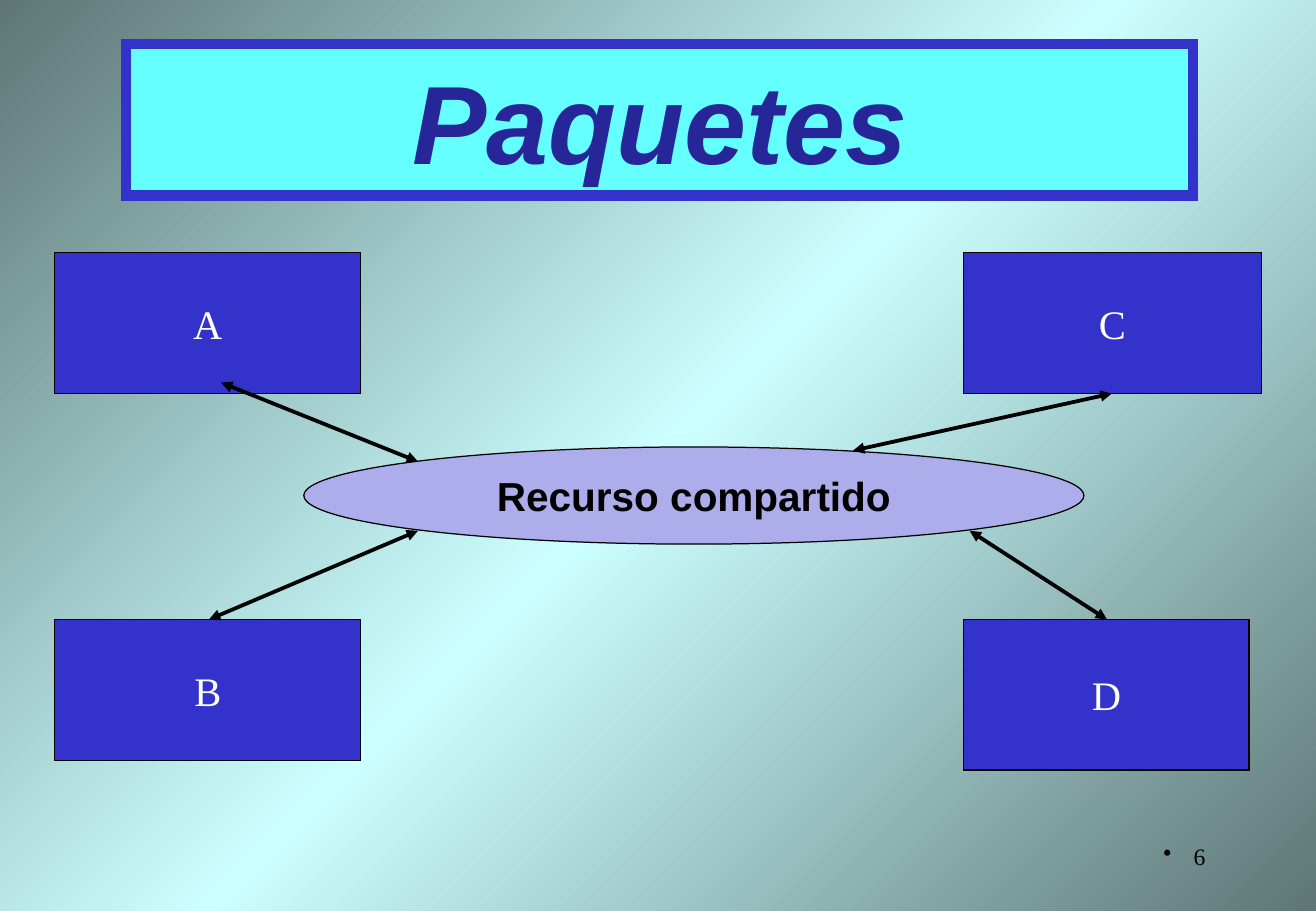
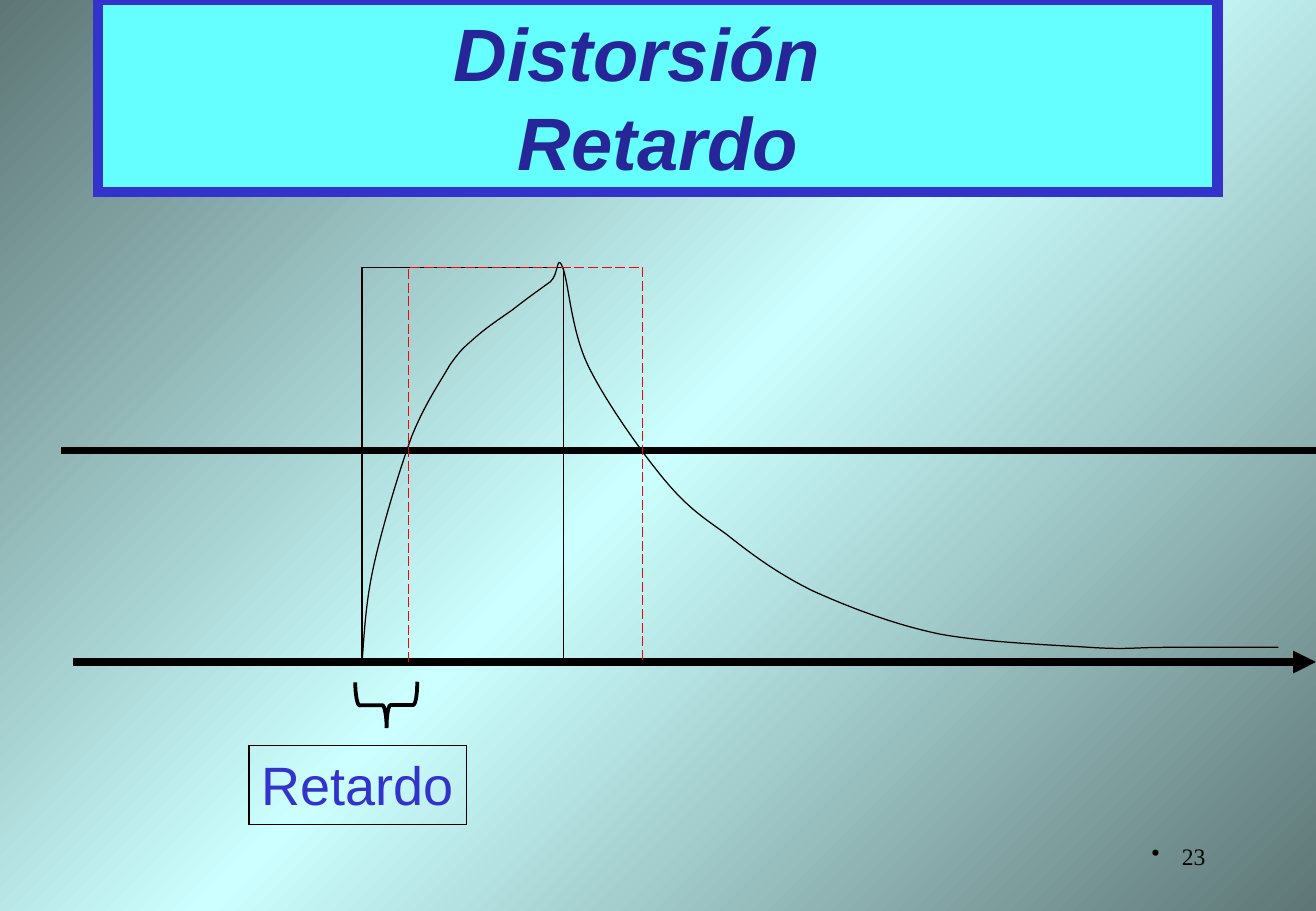
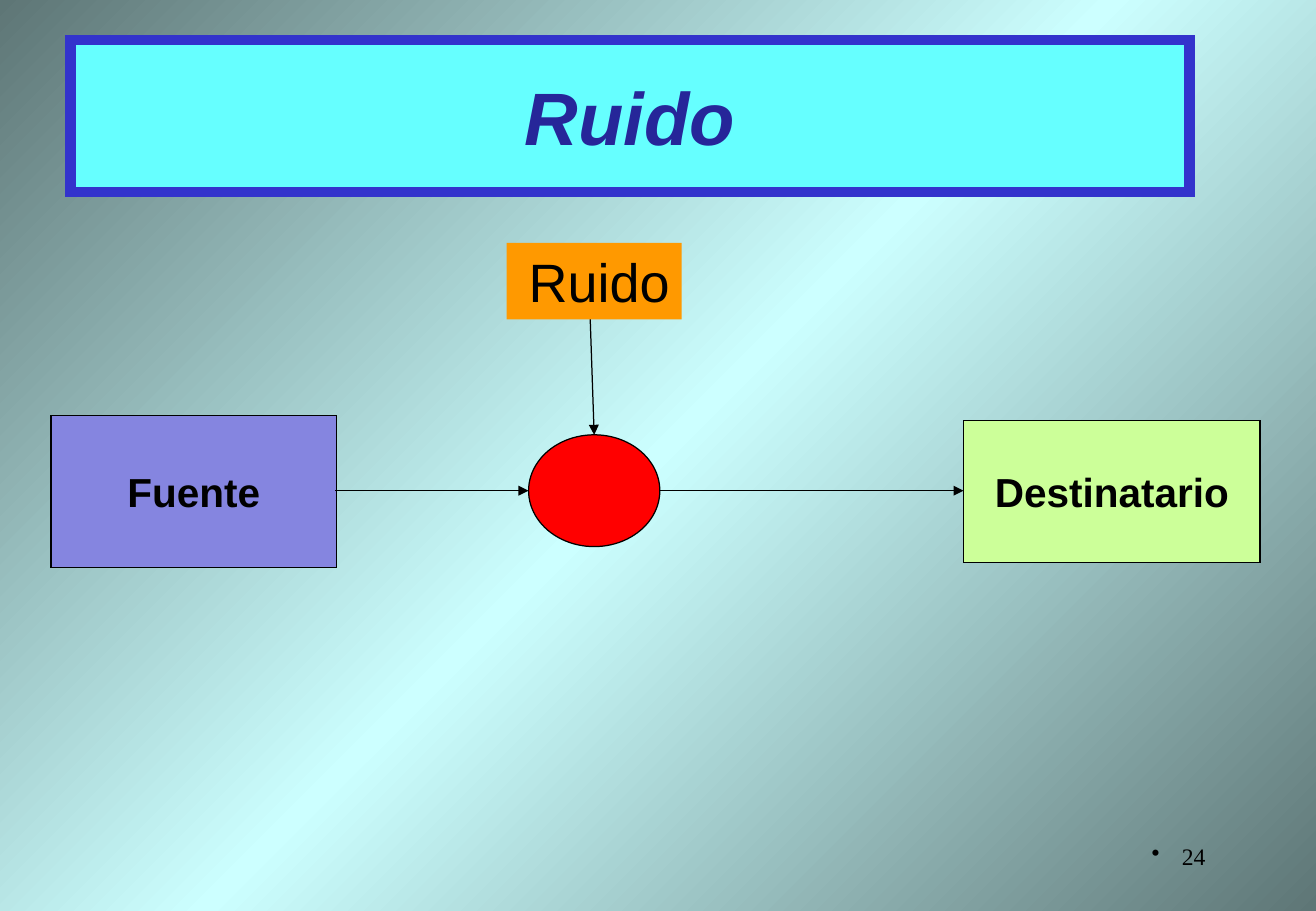
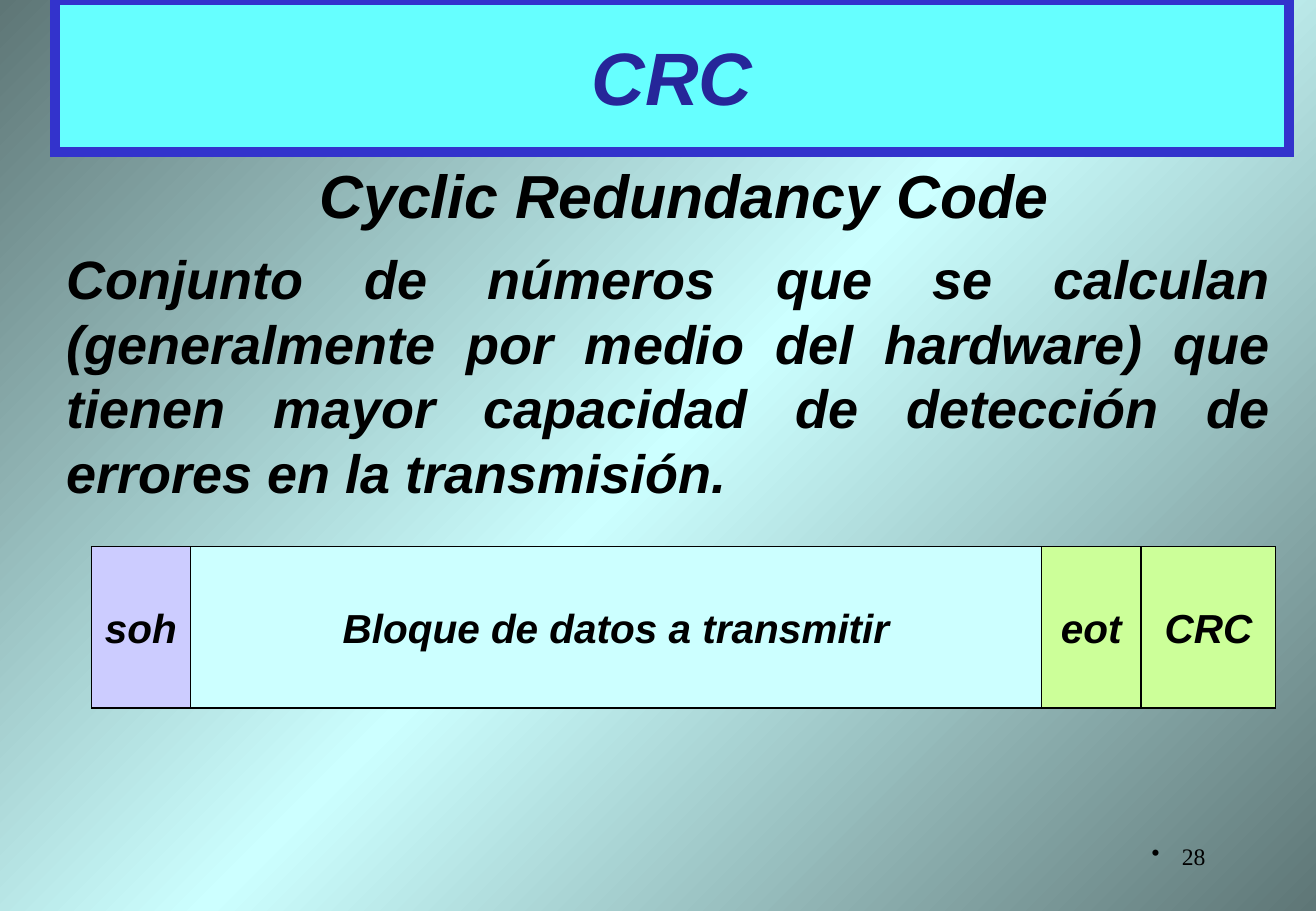
import copy

import pptx
import pptx.dml.color
import pptx.enum.dml
import pptx.enum.shapes
import pptx.enum.text
import pptx.oxml.ns
import pptx.util

Inches = pptx.util.Inches
Pt = pptx.util.Pt
RGB = pptx.dml.color.RGBColor.from_string
qn = pptx.oxml.ns.qn
SHAPE = pptx.enum.shapes.MSO_SHAPE
ALIGN = pptx.enum.text.PP_ALIGN
ANCHOR = pptx.enum.text.MSO_ANCHOR


class Theme:
    sans, serif = "Arial", "Times New Roman"
    black, white, red = RGB("000000"), RGB("FFFFFF"), RGB("FF0000")
    bg_edge, bg_middle = RGB("5E7676"), RGB("CCFFFF")
    title_fill, title_text, blue = RGB("66FFFF"), RGB("262699"), RGB("3333CC")
    lavender, violet, lilac = RGB("ADADEB"), RGB("8585E0"), RGB("CCCCFF")
    green, orange = RGB("CCFF99"), RGB("FF9900")
    number, label, text, subtitle, title, big_title = 14, 24, 32, 36, 44, 66
    thin, medium, thick, frame = 0.75, 2.25, 4.5, 6


def add_box(s, at, text="", kind=SHAPE.RECTANGLE, fill=None, line=Theme.black,
            weight=Theme.thin, size=Theme.label, font=Theme.sans, color=Theme.black,
            bold=False, italic=False, align=ALIGN.CENTER, anchor=ANCHOR.MIDDLE, wrap=False):
    """Add a shape with text; kind None gives a plain text box."""
    place = [Inches(v) for v in at]
    if kind is None:
        sp = s.shapes.add_textbox(*place)
    else:
        sp = s.shapes.add_shape(kind, *place)
        sp.shadow.inherit = False
        if fill is None:
            sp.fill.background()
        else:
            sp.fill.solid()
            sp.fill.fore_color.rgb = fill
        if line is None:
            sp.line.fill.background()
        else:
            sp.line.color.rgb = line
            sp.line.width = Pt(weight)
            ln = sp.element.spPr.find(qn("a:ln"))
            ln.append(ln.makeelement(qn("a:miter"), {"lim": "800000"}))
    tf = sp.text_frame
    tf.word_wrap = wrap
    tf.vertical_anchor = anchor
    tf.text = text
    for p in tf.paragraphs:
        p.alignment = align
        p.font.name, p.font.size = font, Pt(size)
        p.font.bold, p.font.italic = bold, italic
        p.font.color.rgb = color
    return sp


def add_line(s, start, end, weight=Theme.thin, arrows=("tailEnd",)):
    """Add a black line; arrows names its ends: headEnd (start), tailEnd (end)."""
    c = s.shapes.add_connector(pptx.enum.shapes.MSO_CONNECTOR.STRAIGHT,
                               *[Inches(v) for v in (*start, *end)])
    c.line.color.rgb = Theme.black
    c.line.width = Pt(weight)
    props = c.element.spPr
    ln = props.find(qn("a:ln"))
    for arrow in arrows:
        ln.append(ln.makeelement(qn(f"a:{arrow}"), {"type": "triangle"}))
    props.append(props.makeelement(qn("a:effectLst"), {}))


prs = pptx.Presentation()
prs.slide_width, prs.slide_height = Inches(10.83), Inches(7.5)

# Shared background: dark corners, light diagonal
bg = prs.slide_master.background.fill
bg.gradient()
bg.gradient_angle = 315
for stop in bg.gradient_stops:
    stop.color.rgb = Theme.bg_edge
stops = prs.slide_master.element.find(f".//{qn('p:bg')}//{qn('a:gsLst')}")
stops.insert(1, copy.deepcopy(stops[0]))
for stop, position, color in zip(bg.gradient_stops, (0, 0.5, 1),
                                 (Theme.bg_edge, Theme.bg_middle, Theme.bg_edge)):
    stop.position = position
    stop.color.rgb = color

# Shared title frame and slide number
slides, titles = [], []
for title, at, size, number in (
    ("Paquetes", (1.04, 0.36, 8.78, 1.25), Theme.big_title, 6),
    ("Distorsión\nRetardo", (0.81, 0, 9.21, 1.58), Theme.title, 23),
    ("Ruido", (0.58, 0.33, 9.21, 1.25), Theme.title, 24),
    ("CRC", (0.45, 0, 10.16, 1.25), Theme.title, 28),
):
    s = prs.slides.add_slide(prs.slide_layouts[6])
    sp = add_box(s, (7.76, 6.83, 2.26, 0.5), str(number), None, size=Theme.number,
                 font=Theme.serif, align=ALIGN.RIGHT, anchor=ANCHOR.TOP, wrap=True)
    sp.text_frame.margin_top = Inches(0.1)
    pPr = sp.text_frame.paragraphs[0]._p.get_or_add_pPr()
    pPr.set("marL", str(Inches(0.25)))
    pPr.set("indent", str(Inches(-0.25)))
    pPr.insert(0, pPr.makeelement(qn("a:buChar"), {"char": "•"}))
    titles.append(add_box(s, at, title, fill=Theme.title_fill, line=Theme.blue,
                          weight=Theme.frame, size=size, color=Theme.title_text,
                          bold=True, italic=True, wrap=True))
    slides.append(s)
packets, delay, noise, crc = slides

# Paquetes: four stations around a shared resource
add_box(packets, (2.5, 3.68, 6.42, 0.8), "Recurso compartido", SHAPE.OVAL,
        fill=Theme.lavender, bold=True)
for name, at, start, end in (
    ("A", (0.45, 2.08, 2.52, 1.16), (1.82, 3.15), (3.44, 3.8)),
    ("B", (0.45, 5.1, 2.52, 1.16), (1.72, 5.1), (3.44, 4.37)),
    ("C", (7.93, 2.08, 2.45, 1.16), (9.15, 3.24), (7.02, 3.71)),
    ("D", (7.93, 5.1, 2.35, 1.24), (9.11, 5.1), (7.98, 4.37)),
):
    add_box(packets, at, name, fill=Theme.blue, font=Theme.serif, color=Theme.white)
    add_line(packets, start, end, Theme.medium, ("headEnd", "tailEnd"))

# Distorsión: the first title line sits left of the second
tf = titles[1].text_frame
tf.margin_right = Inches(0.44)
tf.paragraphs[1]._p.get_or_add_pPr().set("marL", str(Inches(0.34)))

base, top, middle = 5.45, 2.2, 3.71
crossing = (3.29, middle)
add_line(delay, (0.6, base), (10.83, base), Theme.thick)
add_line(delay, (0.5, middle), (10.83, middle), Theme.thick, ())
add_line(delay, crossing, crossing, arrows=())

# Cubic curve: a start point, then two controls and an end point per piece
curve = [
    (2.98, 5.45), (3, 5.2), (3.01, 4.95), (3.08, 4.64), (3.15, 4.33), (3.29, 3.86),
    (3.39, 3.59), (3.5, 3.32), (3.62, 3.15), (3.7, 3.01), (3.79, 2.88), (3.82, 2.86),
    (3.91, 2.78), (4, 2.7), (4.12, 2.62), (4.22, 2.55), (4.32, 2.47), (4.46, 2.37),
    (4.53, 2.32), (4.6, 2.26), (4.58, 2.08), (4.63, 2.2), (4.68, 2.32), (4.7, 2.72),
    (4.84, 3.01), (4.98, 3.3), (5.27, 3.71), (5.46, 3.94), (5.65, 4.17), (5.77, 4.25),
    (5.98, 4.4), (6.18, 4.56), (6.41, 4.73), (6.7, 4.87), (6.99, 5), (7.35, 5.14),
    (7.73, 5.22), (8.11, 5.29), (8.66, 5.31), (8.97, 5.33), (9.28, 5.35), (9.34, 5.33),
    (9.59, 5.33), (9.85, 5.33), (10.37, 5.33), (10.52, 5.33),
]
sent, received = ([(left, base), (left, top), (right, top), (right, base)]
                  for left, right in ((2.98, 4.64), (3.36, 5.29)))
for points, color, dash in (
    (sent, Theme.black, None),
    (curve, Theme.black, None),
    (received, Theme.red, pptx.enum.dml.MSO_LINE.LONG_DASH),
):
    corners = [(Inches(x), Inches(y)) for x, y in points]
    outline = delay.shapes.build_freeform(*corners[0])
    outline.add_line_segments(corners[1:], close=False)
    sp = outline.convert_to_shape()
    sp.shadow.inherit = False
    sp.fill.background()
    sp.line.color.rgb = color
    sp.line.width = Pt(Theme.thin)
    sp.line.dash_style = dash
    if points is curve:
        # Join every three straight segments into one cubic segment
        track = sp.element.find(f".//{qn('a:path')}")
        segments = track.findall(qn("a:lnTo"))
        for i in range(0, len(segments), 3):
            cubic = track.makeelement(qn("a:cubicBezTo"), {})
            for segment in segments[i:i + 3]:
                cubic.append(segment[0])
                track.remove(segment)
            track.append(cubic)

brace = add_box(delay, (2.99, 5.55, 0.38, 0.51), kind=SHAPE.LEFT_BRACE, weight=Theme.medium)
brace.rotation = 269.5
brace.adjustments[0] = 0.09
add_box(delay, (2.05, 6.14, 1.79, 0.65), "Retardo", size=Theme.text, color=Theme.blue,
        align=ALIGN.LEFT, anchor=ANCHOR.TOP)

# Ruido: noise enters between source and receiver
add_box(noise, (4.35, 3.58, 1.08, 0.92), kind=SHAPE.OVAL, fill=Theme.red)
add_box(noise, (0.42, 3.42, 2.35, 1.25), "Fuente", fill=Theme.violet, bold=True)
add_box(noise, (7.93, 3.46, 2.44, 1.17), "Destinatario", fill=Theme.green, bold=True)
for start, end in (((2.76, 4.04), (4.35, 4.04)), ((5.43, 4.04), (7.93, 4.04)),
                   ((4.85, 2.42), (4.89, 3.58))):
    add_line(noise, start, end)
sp = add_box(noise, (4.17, 2, 1.44, 0.63), "Ruido", fill=Theme.orange, line=None,
             size=Theme.text, align=ALIGN.LEFT, anchor=ANCHOR.TOP)
sp.text_frame.margin_left = Inches(0.18)

# CRC: definition and frame layout
for text, at, size, align in (
    ("Cyclic Redundancy Code", (2.53, 1.25, 6.39, 0.7), Theme.subtitle, ALIGN.LEFT),
    ("Conjunto de números que se calculan (generalmente por medio del hardware) que "
     "tienen mayor capacidad de detección de errores en la transmisión.",
     (0.45, 1.97, 10.11, 3.23), Theme.text, ALIGN.JUSTIFY),
):
    add_box(crc, at, text, None, size=size, bold=True, italic=True, align=align,
            anchor=ANCHOR.TOP, wrap=True)
left = 0.75
for text, width, fill in (
    ("soh", 0.82, Theme.lilac),
    ("Bloque de datos a transmitir", 7, Theme.bg_middle),
    ("eot", 0.82, Theme.green),
    ("CRC", 1.11, Theme.green),
):
    add_box(crc, (left, 4.5, width, 1.33), text, fill=fill, bold=True, italic=True)
    left += width

prs.save("out.pptx")
